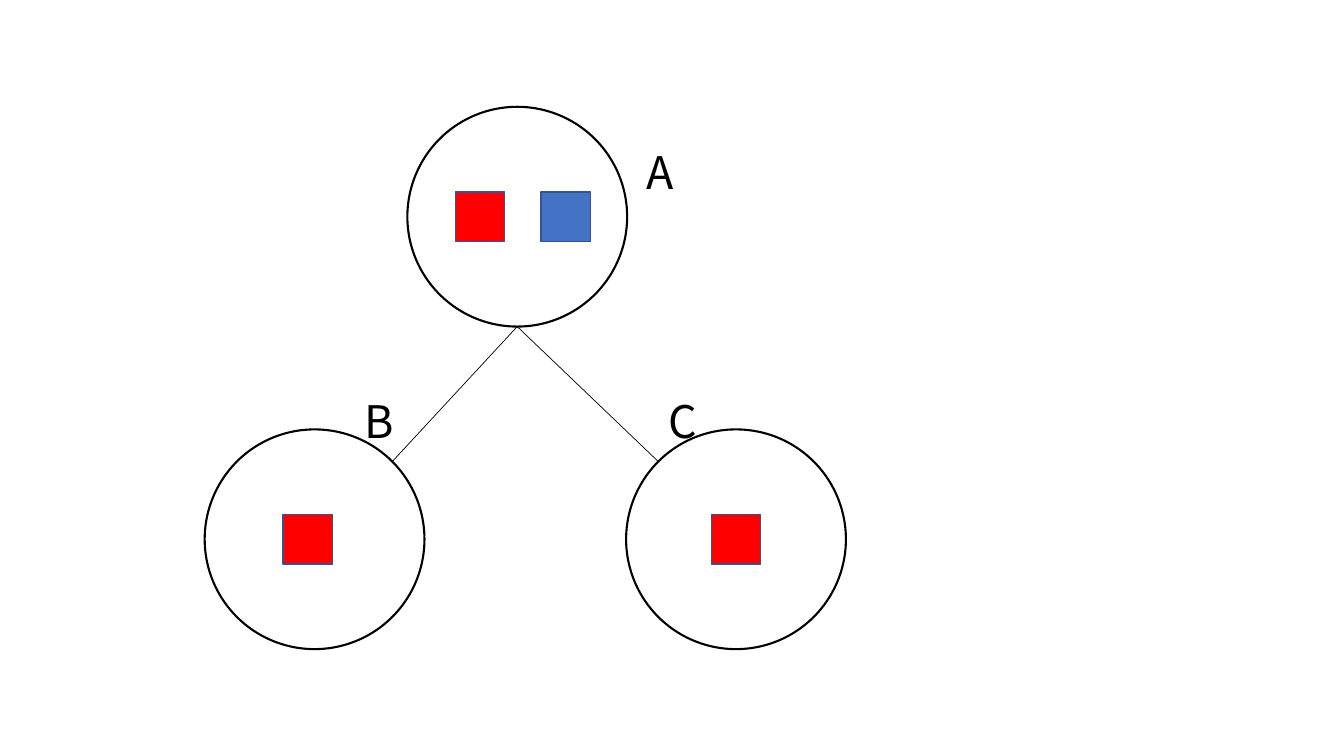
import math
from dataclasses import dataclass

from lxml import etree
from pptx import Presentation
from pptx.dml.color import RGBColor
from pptx.enum.shapes import MSO_CONNECTOR, MSO_SHAPE
from pptx.enum.text import MSO_AUTO_SIZE
from pptx.oxml.ns import qn
from pptx.util import Inches, Pt

OVAL = MSO_SHAPE.OVAL
RECTANGLE = MSO_SHAPE.RECTANGLE
STRAIGHT = MSO_CONNECTOR.STRAIGHT
FIT_SHAPE = MSO_AUTO_SIZE.SHAPE_TO_FIT_TEXT


@dataclass(frozen=True)
class Theme:
    font: str = "Noto Sans CJK SC"
    label_size: int = 32
    black: str = "000000"
    red: str = "FF0000"
    blue: str = "4472C4"
    square_line: str = "325491"


@dataclass(frozen=True)
class Node:
    """A tree node; squares and label are placed relative to its centre."""
    label: str
    x: float
    y: float
    label_offset: tuple
    squares: tuple


THEME = Theme()
RADIUS = 1.09
SQUARE_SIDE = 0.49
LABEL_WIDTH, LABEL_HEIGHT = 0.51, 0.64

ROOT = Node("A", 5.13, 2.15, (1.18, -0.76), ((-0.37, THEME.red), (0.48, THEME.blue)))
LEFT_CHILD = Node("B", 3.12, 5.35, (0.4, -1.49), ((-0.07, THEME.red),))
RIGHT_CHILD = Node("C", 7.3, 5.35, (-0.77, -1.49), ((0, THEME.red),))


def add_centred_shape(slide, kind, x, y, size, line, line_width, fill=None):
    shape = slide.shapes.add_shape(
        kind, Inches(x - size / 2), Inches(y - size / 2), Inches(size), Inches(size))
    shape.shadow.inherit = False
    if fill:
        shape.fill.solid()
        shape.fill.fore_color.rgb = RGBColor.from_string(fill)
    else:
        shape.fill.background()
    shape.line.color.rgb = RGBColor.from_string(line)
    shape.line.width = Pt(line_width)


def add_node(slide, node):
    add_centred_shape(slide, OVAL, node.x, node.y, 2 * RADIUS, THEME.black, 1.5)
    for offset, fill in node.squares:
        add_centred_shape(slide, RECTANGLE, node.x + offset, node.y, SQUARE_SIDE,
                          THEME.square_line, 1, fill)


def add_branch(slide, parent, child):
    """Join the parent's lowest point to the child's rim at 45 degrees."""
    reach = RADIUS * math.sqrt(0.5)
    side = math.copysign(reach, parent.x - child.x)
    connector = slide.shapes.add_connector(
        STRAIGHT, Inches(parent.x), Inches(parent.y + RADIUS),
        Inches(child.x + side), Inches(child.y - reach))
    connector.line.color.rgb = RGBColor.from_string(THEME.black)
    connector.line.width = Pt(0.5)
    etree.SubElement(connector._element.spPr, qn("a:effectLst"))


def add_text(slide, text, left, top, *, width, height, size, color):
    box = slide.shapes.add_textbox(Inches(left), Inches(top), Inches(width), Inches(height))
    frame = box.text_frame
    frame.word_wrap = True
    frame.auto_size = FIT_SHAPE
    run = frame.paragraphs[0].add_run()
    run.text = text
    run.font.name = THEME.font
    run.font.size = Pt(size)
    run.font.color.rgb = RGBColor.from_string(color)


def add_label(slide, node):
    offset_x, offset_y = node.label_offset
    add_text(slide, node.label, node.x + offset_x, node.y + offset_y,
             width=LABEL_WIDTH, height=LABEL_HEIGHT,
             size=THEME.label_size, color=THEME.black)


def main():
    presentation = Presentation()
    presentation.slide_width = Inches(13.33)
    presentation.slide_height = Inches(7.5)
    slide = presentation.slides.add_slide(presentation.slide_layouts[6])

    children = (LEFT_CHILD, RIGHT_CHILD)
    nodes = (ROOT, *children)
    for node in nodes:
        add_node(slide, node)
    for child in children:
        add_branch(slide, ROOT, child)
    for node in nodes:
        add_label(slide, node)

    presentation.save("out.pptx")


if __name__ == "__main__":
    main()
